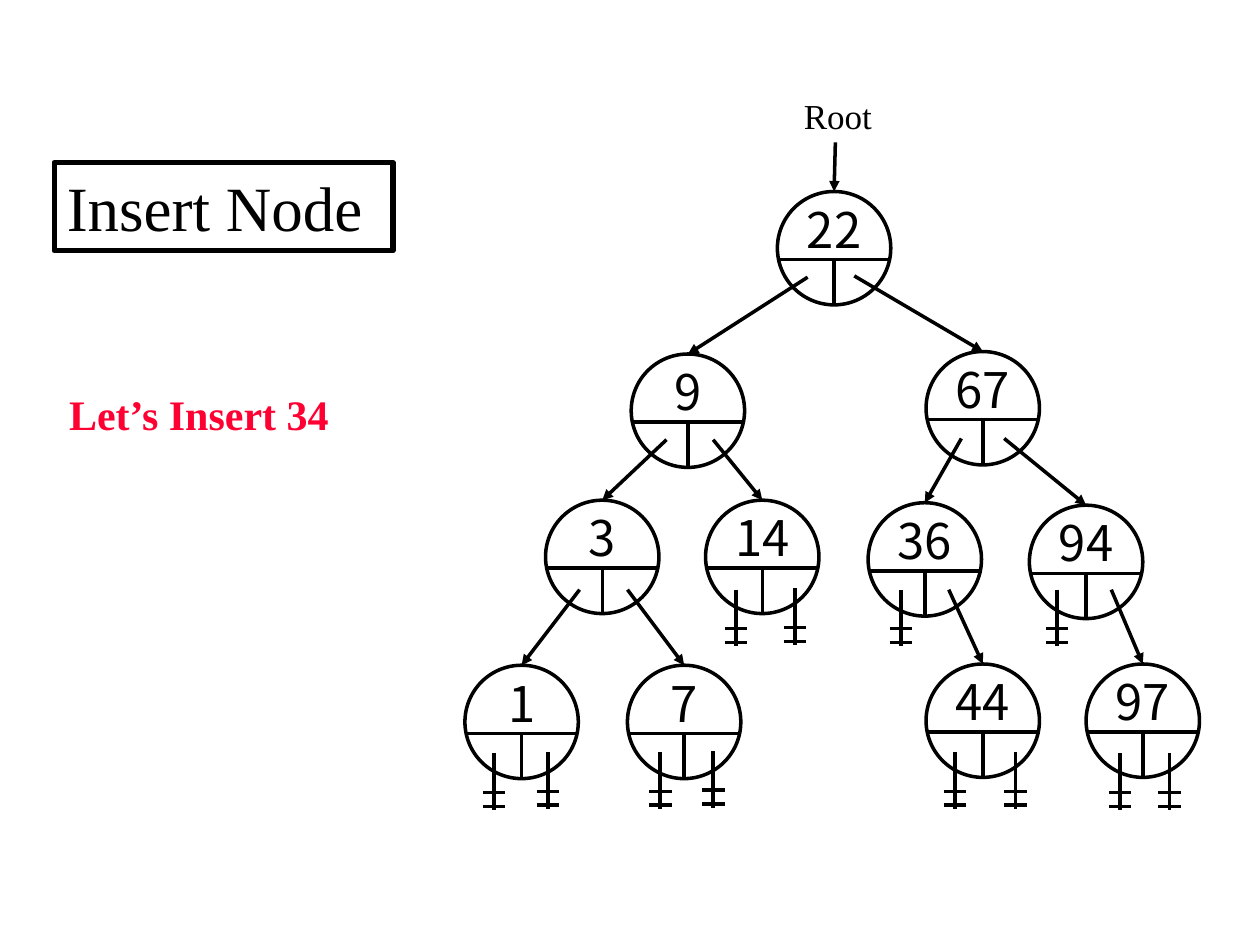
import pptx
import pptx.dml.color
import pptx.enum.shapes
import pptx.enum.text
import pptx.oxml.ns
import pptx.util
from lxml import etree
from pptx.util import Inches

COLORS = {"ink": "000000", "accent": "FF0033"}
INK = pptx.dml.color.RGBColor.from_string(COLORS["ink"])
SERIF = "Times New Roman"
DIGITS = "Noto Sans CJK KR"
DIAMETER = 0.9
RADIUS = DIAMETER / 2
DIVIDER = 0.54

presentation = pptx.Presentation()
presentation.slide_width = Inches(10)
presentation.slide_height = Inches(7.5)
slide = presentation.slides.add_slide(presentation.slide_layouts[5])


def add_line(x1, y1, x2, y2, arrow=False):
    line = slide.shapes.add_connector(
        pptx.enum.shapes.MSO_CONNECTOR.STRAIGHT,
        Inches(x1), Inches(y1), Inches(x2), Inches(y2))
    line.line.color.rgb = INK
    line.line.width = pptx.util.Pt(2)
    properties = line._element.spPr
    if arrow:
        outline = properties.find(pptx.oxml.ns.qn("a:ln"))
        etree.SubElement(outline, pptx.oxml.ns.qn("a:tailEnd"), type="triangle")
    etree.SubElement(properties, pptx.oxml.ns.qn("a:effectLst"))
    return line


def write_text(shape, text, size, font, color="ink", bold=False, centered=False):
    frame = shape.text_frame
    frame.auto_size = pptx.enum.text.MSO_AUTO_SIZE.NONE
    frame.word_wrap = True
    frame.vertical_anchor = pptx.enum.text.MSO_ANCHOR.MIDDLE
    frame.text = text
    paragraph = frame.paragraphs[0]
    alignment = pptx.enum.text.PP_ALIGN
    paragraph.alignment = alignment.CENTER if centered else alignment.LEFT
    run = paragraph.runs[0]
    run.font.name = font
    run.font.size = pptx.util.Pt(size)
    run.font.bold = bold
    run.font.color.rgb = pptx.dml.color.RGBColor.from_string(COLORS[color])
    if font == DIGITS:
        etree.SubElement(run._r.rPr, pptx.oxml.ns.qn("a:ea"), typeface=font)


title = slide.shapes.title
title.left, title.top = Inches(0.43), Inches(1.29)
title.width, title.height = Inches(2.69), Inches(0.7)
title.line.color.rgb = INK
title.line.width = pptx.util.Pt(3)
write_text(title, "Insert Node", 36, SERIF)
title.text_frame.paragraphs[0].space_before = pptx.util.Pt(9)

prompt = slide.shapes.add_textbox(Inches(0.45), Inches(3.03), Inches(2.4), Inches(0.5))
write_text(prompt, "Let’s Insert 34", 24, SERIF, color="accent", bold=True)

root_label = slide.shapes.add_textbox(Inches(6.25), Inches(0.7), Inches(0.8), Inches(0.44))
write_text(root_label, "Root", 20, SERIF, centered=True)

# value: node center x, node top, pointer start x, pointer start y
nodes = {
    22: (6.62, 1.52, 6.63, 1.13),
    9: (5.46, 2.81, 6.41, 2.2),
    67: (7.8, 2.79, 6.78, 2.19),
    3: (4.78, 3.97, 5.29, 3.49),
    14: (6.05, 3.97, 5.66, 3.49),
    36: (7.34, 3.99, 7.63, 3.48),
    94: (8.62, 4.01, 7.97, 3.48),
    1: (4.14, 5.28, 4.6, 4.68),
    7: (5.43, 5.28, 4.98, 4.68),
    44: (7.8, 5.27, 7.53, 4.68),
    97: (9.07, 5.27, 8.82, 4.68),
}
for value, (center, top, start_x, start_y) in nodes.items():
    left = center - RADIUS
    node = slide.shapes.add_shape(
        pptx.enum.shapes.MSO_SHAPE.OVAL,
        Inches(left), Inches(top), Inches(DIAMETER), Inches(DIAMETER))
    node.shadow.inherit = False
    node.fill.background()
    node.line.color.rgb = INK
    node.line.width = pptx.util.Pt(2)
    add_line(left, top + DIVIDER, left + DIAMETER, top + DIVIDER)
    add_line(center, top + DIAMETER, center, top + DIVIDER)
    number = slide.shapes.add_textbox(
        Inches(left), Inches(top + 0.01), Inches(DIAMETER), Inches(0.57))
    write_text(number, str(value), 28, DIGITS, centered=True)
    pointer = add_line(start_x, start_y, center, top, arrow=True)
    pointer.end_connect(node, 0)

null_pointers = [
    (5.84, 4.68), (6.31, 4.67), (7.15, 4.68), (8.39, 4.68),
    (3.92, 5.98), (4.35, 5.97), (5.24, 5.97), (5.66, 5.96),
    (7.58, 5.97), (8.06, 5.97), (8.89, 5.98), (9.28, 5.98),
]
for x, y in null_pointers:
    add_line(x, y, x, y + 0.45)
    for bar in (0.31, 0.42):
        add_line(x - 0.09, y + bar, x + 0.09, y + bar)

presentation.save("out.pptx")
